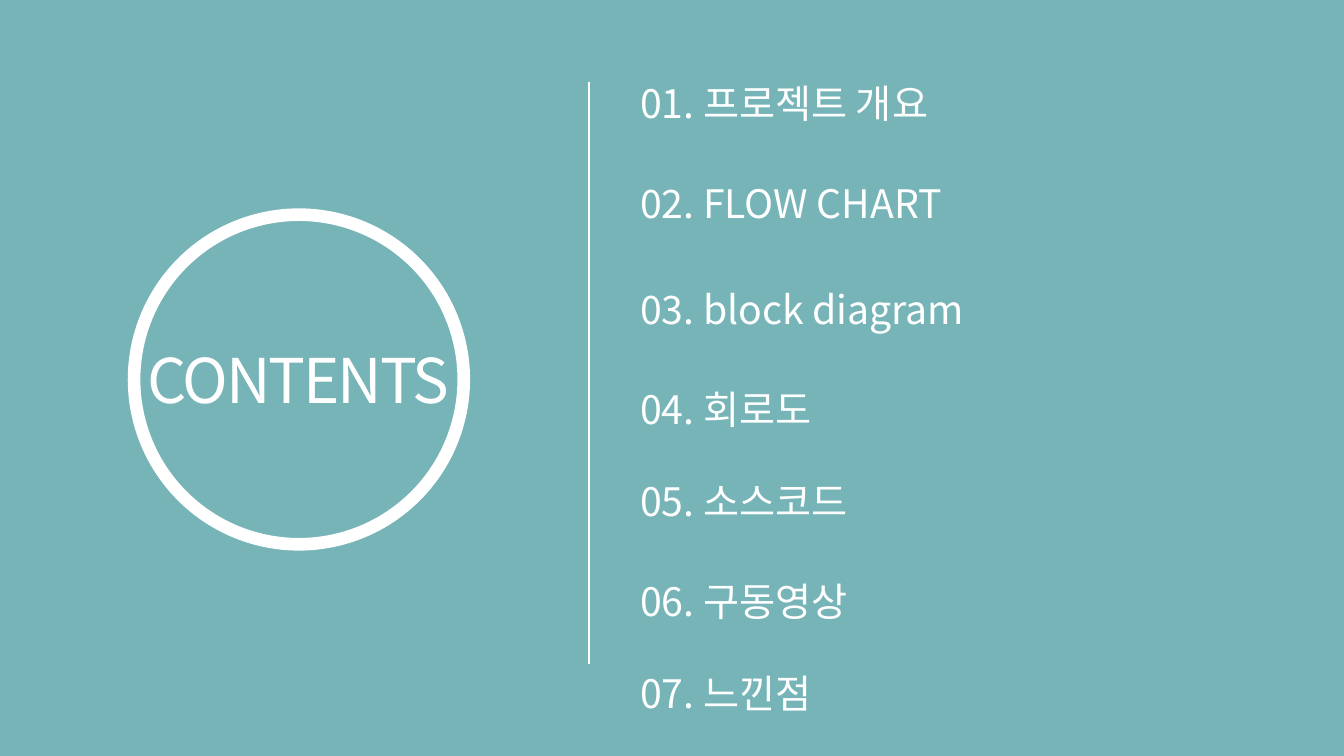
from dataclasses import dataclass

from lxml.etree import SubElement
from pptx import Presentation
from pptx.dml.color import RGBColor
from pptx.enum.shapes import MSO_CONNECTOR as Wire, MSO_SHAPE as Kind
from pptx.enum.text import PP_ALIGN as Align
from pptx.oxml.ns import qn
from pptx.shapes.shapetree import GroupShapes, SlideShapes
from pptx.util import Emu, Pt

PX = 9144
FONT = "Noto Sans CJK KR"
TEAL = RGBColor(0x76, 0xB4, 0xB8)
WHITE = RGBColor(0xFF, 0xFF, 0xFF)


@dataclass(frozen=True)
class Label:
    text: str
    left: int
    top: int
    width: int
    height: int
    size: int = 28
    align: Align = Align.LEFT
    wrap: bool = True
    track: int = 0


LEFT = 625
ITEMS = [
    Label("01. 프로젝트 개요", LEFT, 74, 326, 91),
    Label("02. FLOW CHART", LEFT, 173, 343, 91),
    Label("03. block diagram", LEFT, 278, 362, 91),
    Label("04. 회로도", LEFT, 377, 210, 138),
    Label("05. 소스코드", LEFT, 469, 666, 57),
    Label("06. 구동영상", LEFT, 568, 666, 57),
    Label("07. 느낀점", LEFT, 659, 666, 57),
]
TITLE = Label("CONTENTS", 133, 334, 326, 86, 44, Align.CENTER, False, -150)


def px(num: int) -> Emu:
    return Emu(num * PX)


def write(shapes: SlideShapes | GroupShapes, label: Label) -> None:
    box = shapes.add_textbox(
        px(label.left), px(label.top), px(label.width), px(label.height)
    )
    frame = box.text_frame
    frame.word_wrap = label.wrap
    para = frame.paragraphs[0]
    para.alignment = label.align
    run = para.add_run()
    run.text = label.text
    run.font.size = Pt(label.size)
    run.font.name = FONT
    run.font.color.rgb = WHITE
    props = run._r.get_or_add_rPr()
    SubElement(props, qn("a:ea")).set("typeface", FONT)
    if label.track:
        props.set("spc", str(label.track))


def rule(shapes: SlideShapes, left: int, top: int, end: int) -> None:
    line = shapes.add_connector(
        Wire.STRAIGHT, px(left), px(top), px(left), px(end)
    )
    line.line.color.rgb = WHITE
    line.line.width = Pt(1.25)
    SubElement(line._element.spPr, qn("a:effectLst"))


def ring(shapes: GroupShapes, left: int, top: int, size: int) -> None:
    oval = shapes.add_shape(Kind.OVAL, px(left), px(top), px(size), px(size))
    oval.shadow.inherit = False
    oval.fill.background()
    oval.line.color.rgb = WHITE
    oval.line.width = Pt(9)


def main() -> None:
    deck = Presentation()
    deck.slide_width, deck.slide_height = px(1333), px(750)
    slide = deck.slides.add_slide(deck.slide_layouts[6])
    fill = slide.background.fill
    fill.solid()
    fill.fore_color.rgb = TEAL
    rule(slide.shapes, 584, 81, 659)
    badge = slide.shapes.add_group_shape()
    ring(badge.shapes, 133, 213, 327)
    write(badge.shapes, TITLE)
    for item in ITEMS:
        write(slide.shapes, item)
    deck.save("out.pptx")


if __name__ == "__main__":
    main()
